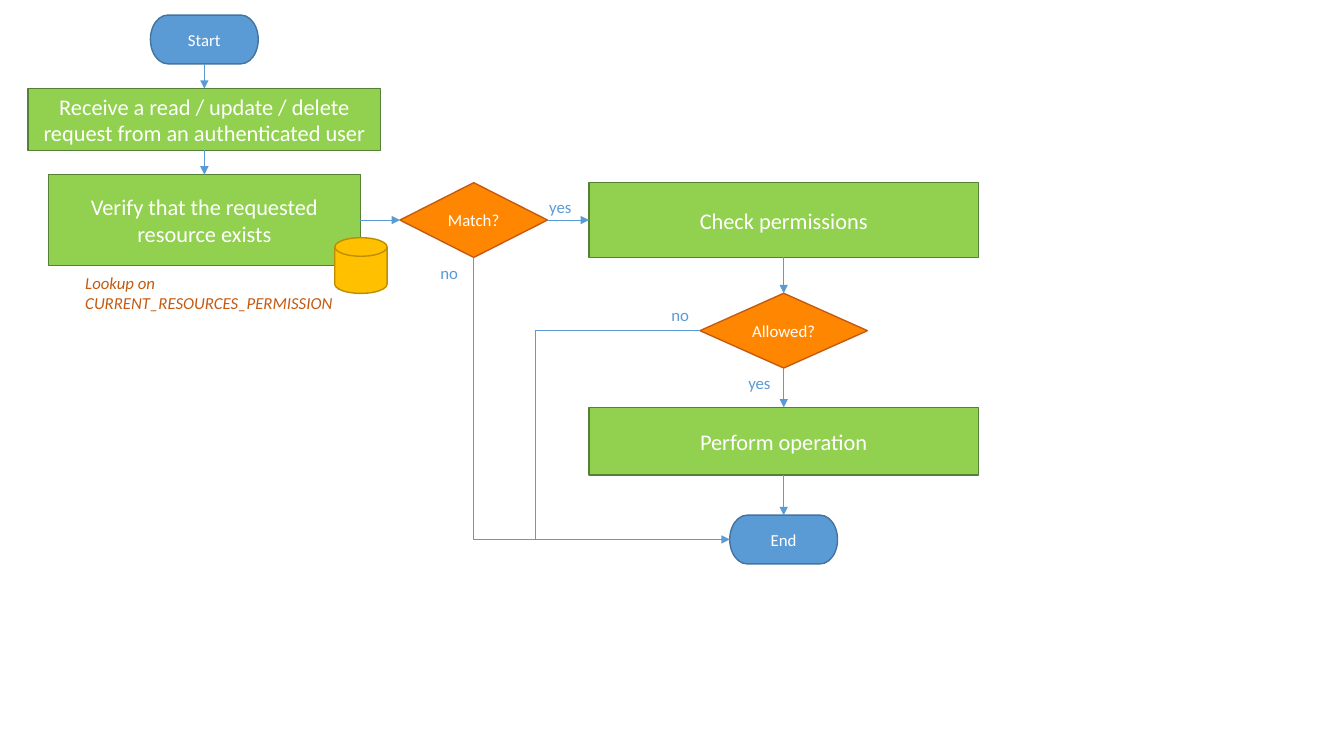
from lxml import etree
from pptx import Presentation
from pptx import util as u
from pptx.dml.color import RGBColor
from pptx.enum import shapes, text
from pptx.oxml import ns

Pt = u.Pt
Kind = shapes.MSO_SHAPE

COLORS = {
    "blue": "5B9BD5", "blue edge": "43739E",
    "green": "92D050", "green edge": "548235",
    "orange": "FF8601", "orange edge": "C55A11",
    "gold": "FFC000", "gold edge": "BD8E00",
    "white": "FFFFFF",
}

# kind: preset, colour, text size
KINDS = {
    "terminator": (Kind.FLOWCHART_TERMINATOR, "blue", 12),
    "process": (Kind.FLOWCHART_PROCESS, "green", 16),
    "decision": (Kind.FLOWCHART_DECISION, "orange", 12),
    "store": (Kind.FLOWCHART_MAGNETIC_DISK, "gold", 12),
}

# Centres of the three columns and of the row they share
LEFT, MIDDLE, RIGHT = 146, 338.4, 559.8
MAIN_ROW = 157.2

# name: kind, wording, centre x, centre y, width, height
STEPS = {
    "start": ("terminator", "Start", LEFT, 28.2, 77, 34.8),
    "receive": ("process", "Receive a read / update / delete request from an authenticated user",
                LEFT, 85.4, 252, 44),
    "verify": ("process", "Verify that the requested resource exists",
               LEFT, MAIN_ROW, 222.6, 65),
    "match": ("decision", "Match?", MIDDLE, MAIN_ROW, 105.4, 53.4),
    "check": ("process", "Check permissions", RIGHT, MAIN_ROW, 278, 53.4),
    "allowed": ("decision", "Allowed?", RIGHT, 236.2, 119.6, 53.4),
    "perform": ("process", "Perform operation", RIGHT, 315.2, 278, 48.4),
    "end": ("terminator", "End", RIGHT, 385.4, 77, 34.8),
    "database": ("store", "", 257.8, 189.7, 37.4, 39.8),
}

# Straight arrows: from step, to step, direction
ARROWS = [
    ("start", "receive", "down"), ("receive", "verify", "down"),
    ("verify", "match", "right"), ("match", "check", "right"),
    ("check", "allowed", "down"), ("allowed", "perform", "down"),
    ("perform", "end", "down"),
]
SITES = {"down": (2, 0), "right": (3, 1)}

# Wording, left, top, width, height, colour, italic, wrap
LABELS = [
    ("yes", 385.2, 136.8, 31, 21.8, "blue", False, False),
    ("no", 307.4, 184, 27.4, 21.8, "blue", False, False),
    ("no", 472.4, 214.4, 27.4, 21.8, "blue", False, False),
    ("yes", 527.4, 263, 31, 21.8, "blue", False, False),
    ("Lookup on CURRENT_RESOURCES_PERMISSION", 53.8, 191, 195.8, 36.4,
     "orange edge", True, True),
]


def color(name):
    return RGBColor.from_string(COLORS[name])


def write(box, wording, size, shade, italic=False):
    para = box.text_frame.paragraphs[0]
    span = para.add_run()
    span.text = wording
    for key, value in {"name": "Calibri", "size": Pt(size), "italic": italic}.items():
        setattr(span.font, key, value)
    span.font.color.rgb = color(shade)
    return para


def connect(start, finish, style=shapes.MSO_CONNECTOR.STRAIGHT, arrow=None):
    line = page.shapes.add_connector(style, *map(Pt, start + finish))
    line.line.color.rgb = color("blue")
    line.line.width = Pt(0.5)
    if arrow:
        etree.SubElement(line.line._get_or_add_ln(), ns.qn(arrow), type="triangle")
    etree.SubElement(line._element.spPr, ns.qn("a:effectLst"))
    return line


def corner(start, finish, arrow=None):
    """Run across first, then up or down, with one bend."""
    line = connect(start, finish, shapes.MSO_CONNECTOR.ELBOW, arrow)
    line._element.spPr.find(ns.qn("a:prstGeom")).set("prst", "bentConnector2")


deck = Presentation()
deck.slide_width, deck.slide_height = Pt(960), Pt(540)
page = deck.slides.add_slide(deck.slide_layouts[6])

# Steps
boxes = {}
for name, (kind, wording, x, y, width, height) in STEPS.items():
    preset, shade, size = KINDS[kind]
    box = page.shapes.add_shape(
        preset, *map(Pt, (x - width / 2, y - height / 2, width, height)))
    box.shadow.inherit = False
    box.fill.solid()
    box.fill.fore_color.rgb = color(shade)
    box.line.color.rgb = color(shade + " edge")
    box.line.width = Pt(1)
    if wording:
        box.text_frame.vertical_anchor = text.MSO_ANCHOR.MIDDLE
        write(box, wording, size, "white").alignment = text.PP_ALIGN.CENTER
    boxes[name] = box

# Straight arrows, glued to the steps
for source, target, direction in ARROWS:
    leave, arrive = SITES[direction]
    line = connect((0, 0), (0, 0), arrow="a:tailEnd")
    line.begin_connect(boxes[source], leave)
    line.end_connect(boxes[target], arrive)

# "No" branches, both leading to the end
end_x, end_y, end_width = STEPS["end"][2:5]
match_bottom = MAIN_ROW + STEPS["match"][5] / 2
allowed_y, allowed_width = STEPS["allowed"][3:5]
corner((end_x - end_width / 2, end_y), (MIDDLE, match_bottom), "a:headEnd")
corner((RIGHT - allowed_width / 2, allowed_y), (382.4, end_y))

# Labels
for wording, left, top, width, height, shade, italic, wrap in LABELS:
    box = page.shapes.add_textbox(*map(Pt, (left, top, width, height)))
    box.text_frame.word_wrap = wrap
    write(box, wording, 12, shade, italic)

deck.save("out.pptx")
